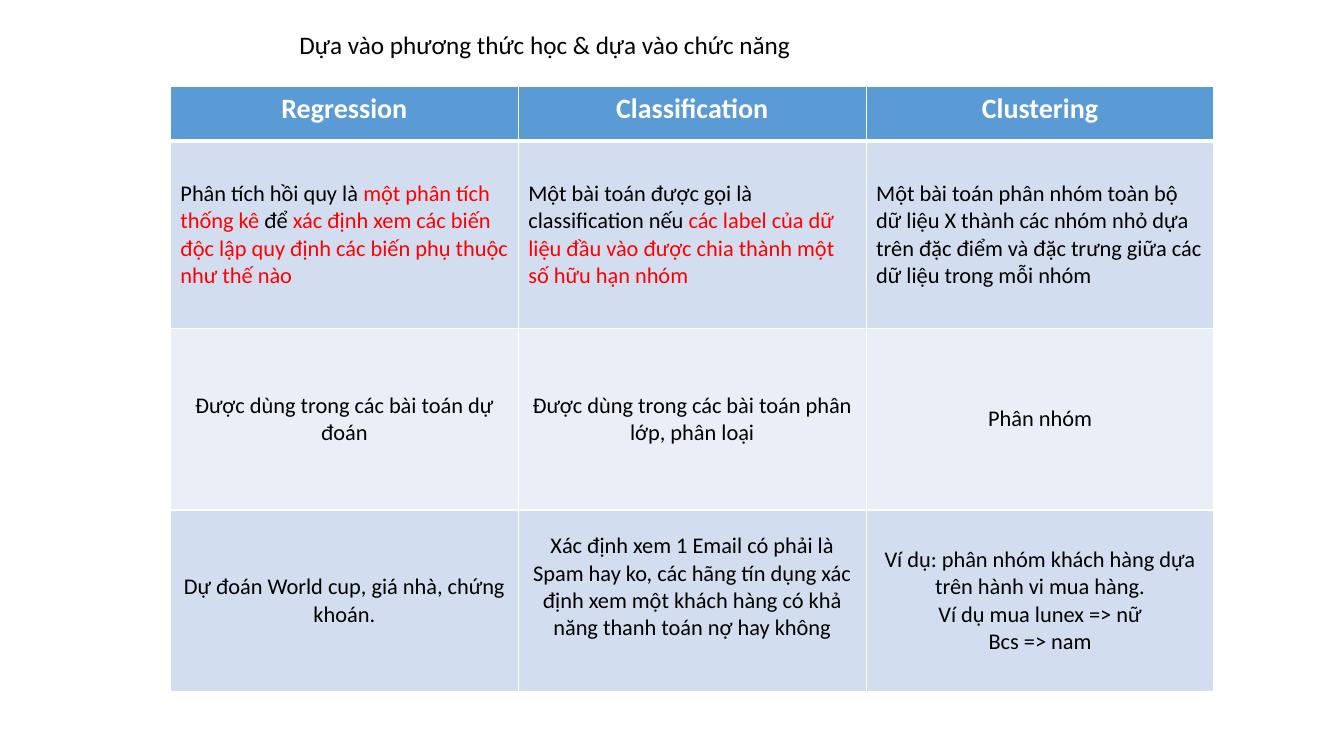
from lxml.etree import SubElement
from pptx import Presentation
from pptx.dml.color import RGBColor
from pptx.enum.text import MSO_ANCHOR as Anchor, MSO_AUTO_SIZE as AutoSize, PP_ALIGN as Align
from pptx.oxml.ns import qn
from pptx.util import Inches, Pt

FONT = "Calibri"
WHITE, BLACK, RED = "FFFFFF", "000000", "FF0000"
HEADER_FILL, BAND_FILLS = "5B9BD5", ("D2DEEF", "EAEFF7")
COLUMN_WIDTH = 3.45
ROW_HEIGHTS = (0.54, 1.86, 1.8, 1.8)
RAISED_CELL, RAISED_MARGIN = (3, 1), 0.32

HEADERS = ("Regression", "Classification", "Clustering")
# Each definition alternates plain and highlighted parts.
DEFINITIONS = (
    ("Phân tích hồi quy là ", "một phân tích thống kê ", "để ",
     "xác định xem các biến độc lập quy định các biến phụ thuộc như thế nào"),
    ("Một bài toán được gọi là classification nếu ",
     "các label của dữ liệu đầu vào được chia thành một số hữu hạn nhóm"),
    ("Một bài toán phân nhóm toàn bộ dữ liệu X thành các nhóm nhỏ dựa trên "
     "đặc điểm và đặc trưng giữa các dữ liệu trong mỗi nhóm",),
)
USES = (
    "Được dùng trong các bài toán dự đoán",
    "Được dùng trong các bài toán phân lớp, phân loại",
    "Phân nhóm",
)
EXAMPLES = (
    "Dự đoán World cup, giá nhà, chứng khoán.",
    "Xác định xem 1 Email có phải là Spam hay ko, các hãng tín dụng xác định "
    "xem một khách hàng có khả năng thanh toán nợ hay không",
    "Ví dụ: phân nhóm khách hàng dựa trên hành vi mua hàng.\n"
    "Ví dụ mua lunex => nữ\nBcs => nam",
)


def color(hex_code):
    return RGBColor.from_string(hex_code)


def format_span(span, size, hex_code, bold=False):
    span.font.name = FONT
    span.font.size = Pt(size)
    span.font.bold = bold
    span.font.color.rgb = color(hex_code)


def write(frame, text, size, hex_code=BLACK, align=Align.CENTER, bold=False):
    frame.text = text
    for para in frame.paragraphs:
        para.alignment = align
        for span in para.runs:
            format_span(span, size, hex_code, bold)


def write_highlighted(frame, parts):
    """Write one left-aligned paragraph, with every second part in red."""
    para = frame.paragraphs[0]
    para.alignment = Align.LEFT
    for index, part in enumerate(parts):
        span = para.add_run()
        span.text = part
        format_span(span, 16, RED if index % 2 else BLACK)


def set_borders(cell, bottom=1, top=1):
    properties = cell._tc.get_or_add_tcPr()
    sides = (("a:lnL", 1), ("a:lnR", 1), ("a:lnT", top), ("a:lnB", bottom))
    for position, (tag, width) in enumerate(sides):
        line = SubElement(properties, qn(tag), w=str(Pt(width)))
        fill = SubElement(line, qn("a:solidFill"))
        SubElement(fill, qn("a:srgbClr"), val=WHITE)
        properties.insert(position, line)


def style_cell(cell, row):
    cell.fill.solid()
    cell.fill.fore_color.rgb = color(BAND_FILLS[(row - 1) % 2] if row else HEADER_FILL)
    cell.vertical_anchor = Anchor.MIDDLE if row else Anchor.TOP
    set_borders(cell, bottom=1 if row else 3, top=3 if row == 1 else 1)


def add_title(page, text):
    title = page.shapes.title
    title.left, title.top, title.width, title.height = map(Inches, (2.87, 0.24, 5.98, 0.4))
    frame = title.text_frame
    frame.word_wrap = True
    frame.auto_size = AutoSize.SHAPE_TO_FIT_TEXT
    frame.vertical_anchor = Anchor.TOP
    write(frame, text, 18, align=Align.LEFT)


def add_comparison(page):
    count = len(HEADERS)
    table = page.shapes.add_table(
        len(ROW_HEIGHTS), count, Inches(1.69), Inches(0.86),
        Inches(count * COLUMN_WIDTH), Inches(sum(ROW_HEIGHTS))).table
    for column in table.columns:
        column.width = Inches(COLUMN_WIDTH)
    for row, height in zip(table.rows, ROW_HEIGHTS):
        row.height = Inches(height)
    for row, texts in enumerate((HEADERS, DEFINITIONS, USES, EXAMPLES)):
        for column, text in enumerate(texts):
            cell = table.cell(row, column)
            style_cell(cell, row)
            if row == 0:
                write(cell.text_frame, text, 20, WHITE, bold=True)
            elif texts is DEFINITIONS:
                write_highlighted(cell.text_frame, text)
            else:
                write(cell.text_frame, text, 16)
    table.cell(*RAISED_CELL).margin_bottom = Inches(RAISED_MARGIN)


def main():
    deck = Presentation()
    deck.slide_width, deck.slide_height = Inches(13.33), Inches(7.5)
    page = deck.slides.add_slide(deck.slide_layouts.get_by_name("Title Only"))
    add_comparison(page)
    add_title(page, "Dựa vào phương thức học & dựa vào chức năng")
    deck.save("out.pptx")


if __name__ == "__main__":
    main()
